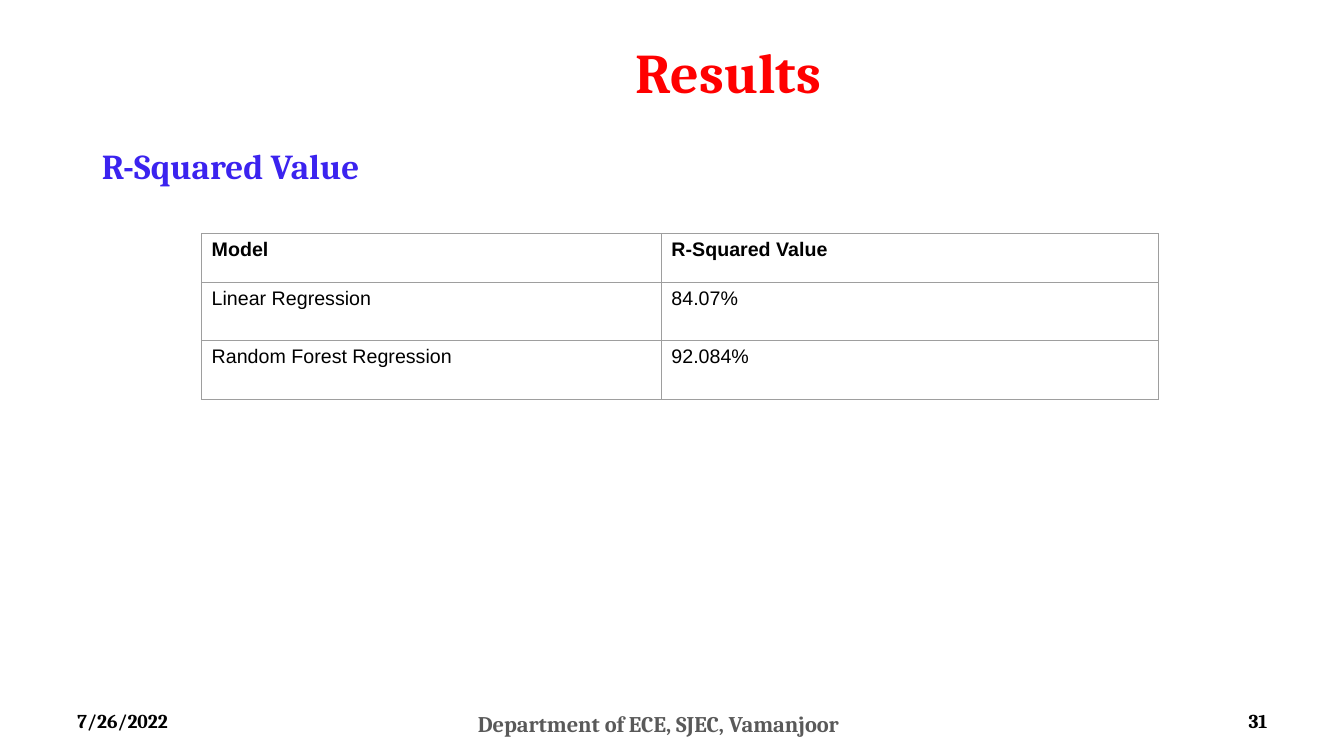
import pptx
import pptx.util
import pptx.dml.color
import pptx.enum.text
import pptx.oxml
import pptx.oxml.ns

Inches, Pt = pptx.util.Inches, pptx.util.Pt
ALIGN = pptx.enum.text.PP_ALIGN
ANCHOR = pptx.enum.text.MSO_ANCHOR

COLORS = {"title": "FF0000", "heading": "3B23EF", "text": "000000",
          "footer": "595959", "border": "9E9E9E"}
TITLE = "Results"
HEADING = "R-Squared Value"
FOOTERS = [
    ("7/26/2022", (0.67, 6.95, 3.11, 0.4), 14, "text", ALIGN.LEFT, ANCHOR.MIDDLE),
    ("31", (9.56, 6.95, 3.11, 0.4), 14, "text", ALIGN.RIGHT, ANCHOR.MIDDLE),
    ("Department of ECE, SJEC, Vamanjoor", (4.64, 7, 4.22, 0.4), 16, "footer",
     ALIGN.LEFT, ANCHOR.TOP),
]
ROWS = [
    ("Model", "R-Squared Value"),
    ("Linear Regression", "84.07%"),
    ("Random Forest Regression", "92.084%"),
]
COL_WIDTHS = (4.56, 4.93)
ROW_HEIGHTS = (0.48, 0.58, 0.58)


def style_run(p, size, color, font="Cambria", bold=True):
    f = p.runs[0].font
    f.name, f.size, f.bold = font, Pt(size), bold
    f.color.rgb = pptx.dml.color.RGBColor.from_string(COLORS[color])


def fill_text(sp, text, box, size, color, align, anchor):
    sp.left, sp.top, sp.width, sp.height = map(Inches, box)
    tf = sp.text_frame
    tf.text = text
    tf.word_wrap = True
    tf.auto_size = pptx.enum.text.MSO_AUTO_SIZE.NONE
    tf.vertical_anchor = anchor
    p = tf.paragraphs[0]
    p.alignment = align
    p.space_before = Pt(0)
    style_run(p, size, color)
    return p


def add_borders(cell):
    tc_pr = cell._tc.get_or_add_tcPr()
    for i, side in enumerate(("lnL", "lnR", "lnT", "lnB")):
        tc_pr.insert(i, pptx.oxml.parse_xml(
            f'<a:{side} {pptx.oxml.ns.nsdecls("a")} w="{Pt(0.75)}"><a:solidFill>'
            f'<a:srgbClr val="{COLORS["border"]}"/></a:solidFill></a:{side}>'))


def main():
    prs = pptx.Presentation()
    prs.slide_width, prs.slide_height = Inches(13.33), Inches(7.5)
    s = prs.slides.add_slide(prs.slide_layouts[1])

    fill_text(s.shapes.title, TITLE, (1.78, 0.17, 10.89, 1.08), 40, "title",
              ALIGN.CENTER, ANCHOR.MIDDLE)
    p = fill_text(s.placeholders[1], HEADING, (0.91, 1.38, 12, 5.45), 25, "heading",
                  ALIGN.LEFT, ANCHOR.TOP)
    p_pr = p._p.get_or_add_pPr()
    p_pr.set("marL", "0")
    p_pr.set("indent", "0")
    p_pr.append(pptx.oxml.parse_xml(f'<a:buNone {pptx.oxml.ns.nsdecls("a")}/>'))

    for text, box, *style in FOOTERS:
        fill_text(s.shapes.add_textbox(0, 0, 0, 0), text, box, *style)

    table = s.shapes.add_table(
        len(ROWS), len(COL_WIDTHS), Inches(2), Inches(2.32),
        Inches(sum(COL_WIDTHS)), Inches(sum(ROW_HEIGHTS))).table
    table.horz_banding = False
    for col, width in zip(table.columns, COL_WIDTHS):
        col.width = Inches(width)
    for i, (row, height) in enumerate(zip(table.rows, ROW_HEIGHTS)):
        row.height = Inches(height)
        for cell, text in zip(row.cells, ROWS[i]):
            cell.text = text
            cell.fill.background()
            add_borders(cell)
            style_run(cell.text_frame.paragraphs[0], 14, "text", "Arial", i == 0)

    prs.save("out.pptx")


if __name__ == "__main__":
    main()
